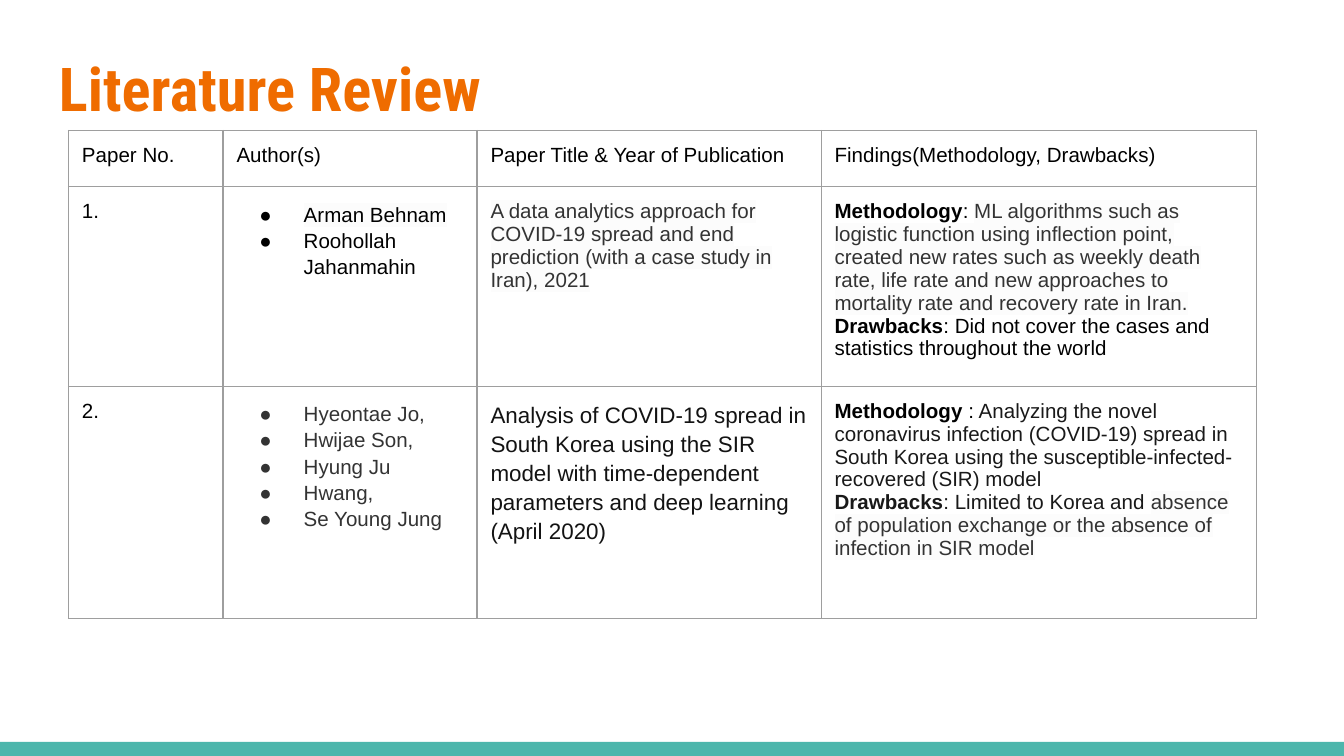
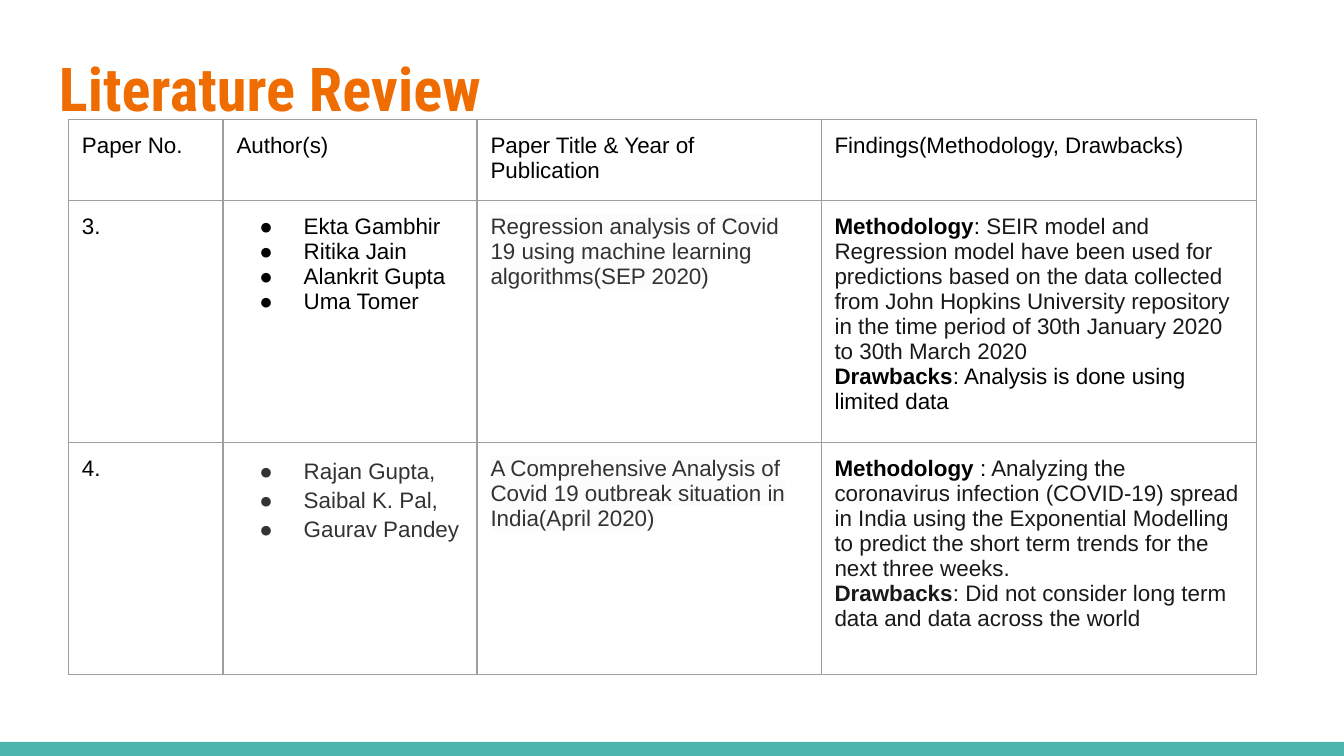
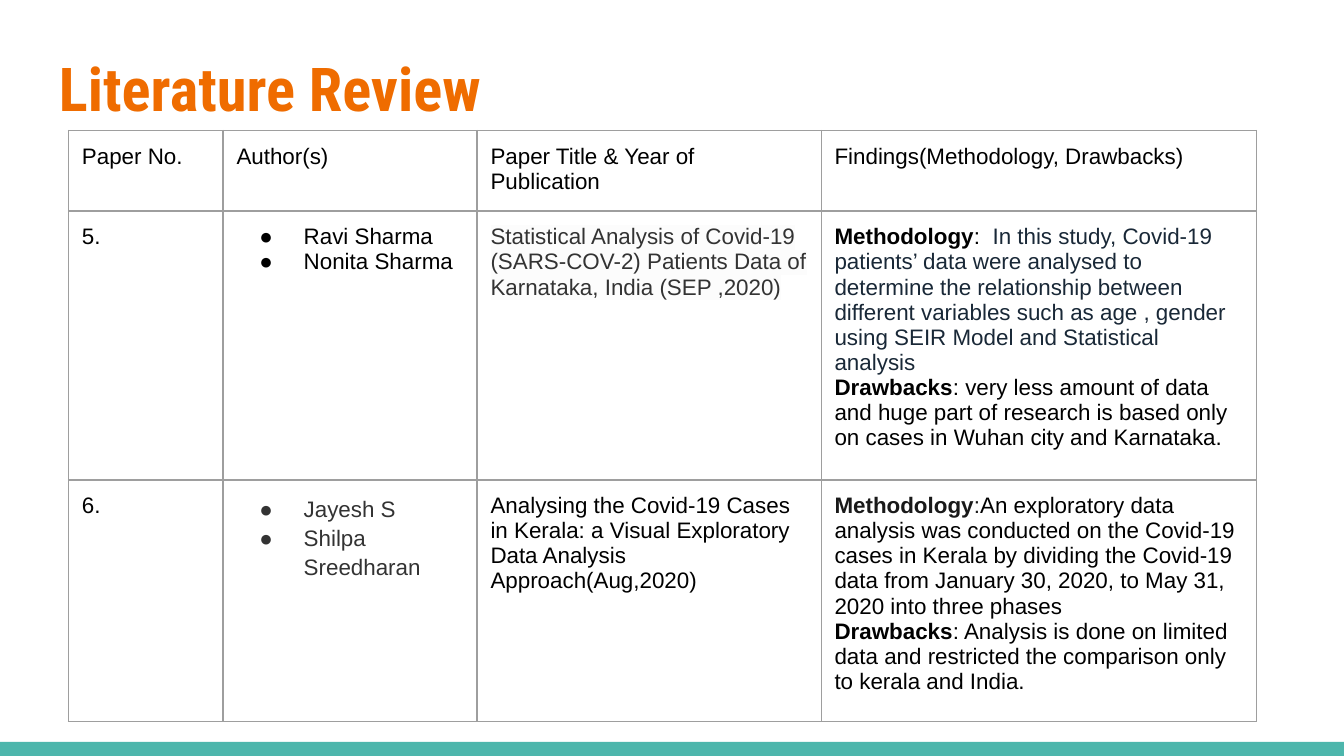
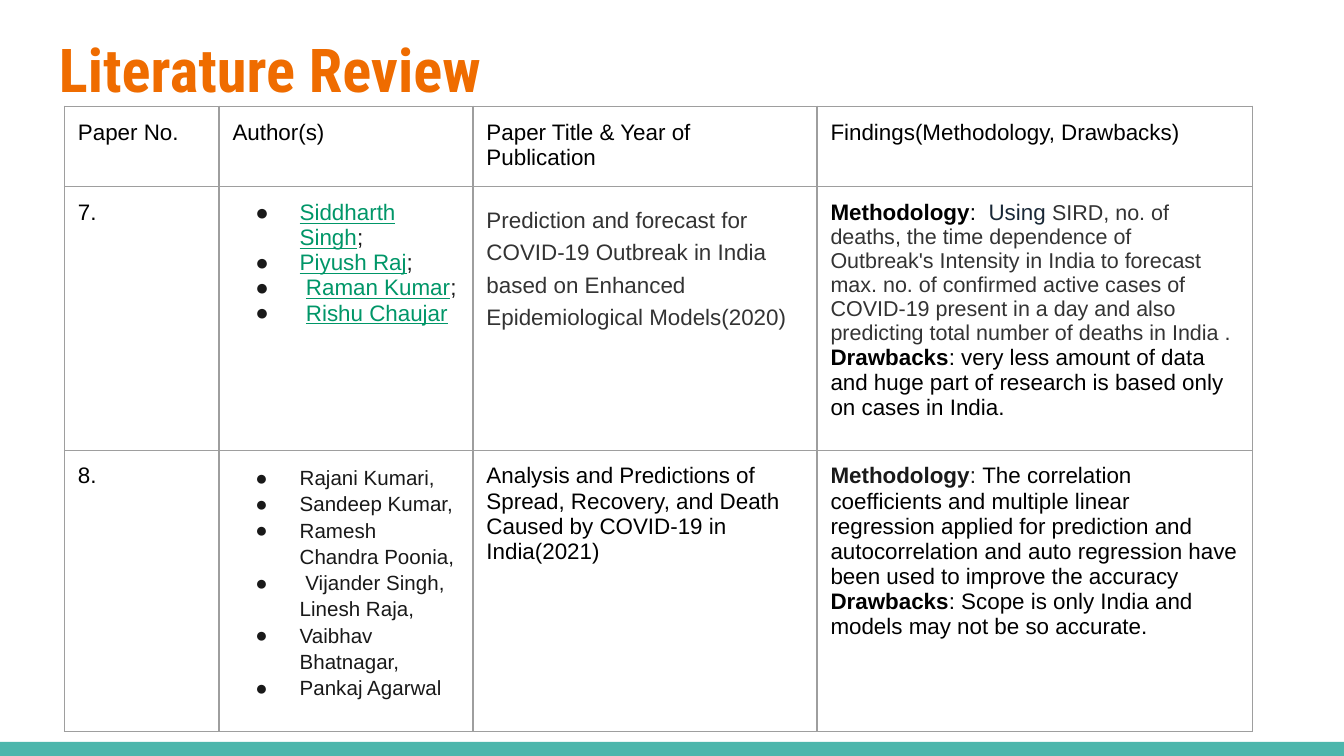
from dataclasses import dataclass, field

from lxml.etree import SubElement
from pptx import Presentation
from pptx.dml.color import RGBColor
from pptx.enum.shapes import MSO_SHAPE
from pptx.enum.text import MSO_ANCHOR
from pptx.oxml.ns import qn
from pptx.util import Inches, Pt

TITLE = "Literature Review"
HEADER = ["Paper No.", "Author(s)", "Paper Title & Year of Publication",
          "Findings(Methodology, Drawbacks)"]
COLUMNS = [1.15, 1.89, 2.56, 3.24]

SLIDES = [
    {"title_top": 0.28, "table_at": (0.51, 0.97), "rows": [0.42, 1.2, 1.73], "size": 11, "papers": [
        {"no": "1.",
         "authors": {"bullet": "ink", "line": 1.15, "paras": [
             [("Arman Behnam", "ink_tint")], [("Roohollah Jahanmahin", "ink")]]},
         "title": {"paras": [[("A data analytics approach for COVID-19 spread and end prediction "
                               "(with a case study in Iran), 2021", "grey_tint")]]},
         "findings": {"paras": [
             [("Methodology", "bold"), (": ", "ink"),
              ("ML algorithms such as logistic function using inflection point, created new rates "
               "such as weekly death rate, life rate and new approaches to mortality rate and "
               "recovery rate in Iran.", "grey_tint")],
             [("Drawbacks", "bold"),
              (": Did not cover the cases and statistics throughout the world", "ink")]]}},
        {"no": "2.",
         "authors": {"bullet": "grey", "line": 1.15, "paras": [
             [(name, "grey")] for name in
             ["Hyeontae Jo,", "Hwijae Son,", "Hyung Ju", "Hwang,", "Se Young Jung"]]},
         "title": {"line": 1.15, "after": 15, "paras": [
             [("Analysis of COVID-19 spread in South Korea using the SIR model with time-dependent "
               "parameters and deep learning (April 2020)", "black_12")]]},
         "findings": {"paras": [
             [("Methodology", "bold"), (" :", "ink"),
              (" Analyzing the novel coronavirus infection (COVID-19) spread in South Korea using "
               "the susceptible-infected-recovered (SIR) model", "soft")],
             [("Drawbacks", "soft_bold"), (": Limited to Korea and ", "soft"),
              ("absence of population exchange or the absence of infection in SIR model",
               "grey_tint")]]}},
    ]},
    {"title_top": 0.28, "table_at": (0.51, 0.89), "rows": [0.42, 1.2, 1.73], "size": 12, "papers": [
        {"no": "3.",
         "authors": {"bullet": "ink", "paras": [
             [(name, "ink")] for name in
             ["Ekta Gambhir", "Ritika Jain", "Alankrit Gupta", "Uma Tomer"]]},
         "title": {"paras": [[("Regression analysis of Covid 19 using machine learning "
                               "algorithms(SEP 2020)", "grey_tint")]]},
         "findings": {"paras": [
             [("Methodology", "bold"), (": ", "ink"),
              ("SEIR model and Regression model have been used for predictions based on the data "
               "collected from John Hopkins University repository in the time period of 30th "
               "January 2020 to 30th March 2020", "soft")],
             [("Drawbacks", "bold"), (": Analysis is done using limited data", "ink")]]}},
        {"no": "4.",
         "authors": {"bullet": "grey", "line": 1.15, "paras": [
             [(name, "grey")] for name in ["Rajan Gupta,", "Saibal K. Pal,", "Gaurav Pandey"]]},
         "title": {"paras": [[("A Comprehensive Analysis of Covid 19 outbreak situation in "
                               "India(April 2020)", "grey_tint")]]},
         "findings": {"paras": [
             [("Methodology ", "bold"), (":", "ink"),
              (" Analyzing the coronavirus infection (COVID-19) spread in India using the "
               "Exponential Modelling to predict the short term trends for the next three weeks.",
               "soft")],
             [("Drawbacks", "soft_bold"),
              (": Did not consider long term data and data across the world", "soft")]]}},
    ]},
    {"title_top": 0.28, "table_at": (0.51, 0.97), "rows": [0.42, 1.2, 1.73], "size": 12, "papers": [
        {"no": "5.",
         "authors": {"bullet": "ink", "paras": [
             [("Ravi Sharma", "ink")], [("Nonita Sharma", "ink")]]},
         "title": {"paras": [
             [("Statistical Analysis of Covid-19", "grey_tint")],
             [("(SARS-COV-2) Patients Data of Karnataka, India (SEP ,2020)", "grey_tint")]]},
         "findings": {"paras": [
             [("Methodology", "bold"), (": ", "ink"),
              (" In this study, Covid-19 patients’ data were analysed to determine the relationship "
               "between different variables such as age , gender using SEIR Model and Statistical "
               "analysis", "navy")],
             [("Drawbacks", "bold"),
              (": very less amount of data and huge part of research is based only on cases in "
               "Wuhan city and Karnataka.", "ink")]]}},
        {"no": "6.",
         "authors": {"bullet": "grey", "line": 1.15, "paras": [
             [("Jayesh S", "grey")], [("Shilpa Sreedharan", "grey")]]},
         "title": {"before": 36, "paras": [
             [("Analysing the Covid-19 Cases in Kerala: a Visual Exploratory Data Analysis "
               "Approach(Aug,2020)", "ink")]]},
         "findings": {"paras": [
             [("Methodology", "soft_bold"), (":", "soft"),
              ("An exploratory data analysis was conducted on the Covid-19 cases in Kerala by "
               "dividing the Covid-19 data from January 30, 2020, to May 31, 2020 into three "
               "phases", "ink")],
             [("Drawbacks", "bold"),
              (": Analysis is done on limited data and restricted the comparison only to kerala "
               "and India.", "ink")]]}},
    ]},
    {"title_top": 0.14, "table_at": (0.48, 0.79), "rows": [0.58, 1.89, 2.05], "size": 12, "papers": [
        {"no": "7.",
         "authors": {"bullet": "soft", "paras": [
             [("Siddharth Singh", "linked"), (";", "soft")],
             [("Piyush Raj", "linked"), (";", "soft")],
             [(" ", "soft"), ("Raman Kumar", "linked"), (";", "soft")],
             [(" ", "soft"), ("Rishu Chaujar", "linked")]]},
         "title": {"line": 1.3, "paras": [
             [("Prediction and forecast for COVID-19 Outbreak in India based on Enhanced "
               "Epidemiological Models(2020)", "grey")]]},
         "findings": {"paras": [
             [("Methodology", "bold"), (": ", "ink"), (" Using ", "navy"),
              ("SIRD, no. of deaths, the time dependence of Outbreak's Intensity in India to "
               "forecast max. no. of confirmed active cases of COVID-19 present in a day and also "
               "predicting total number of deaths in India .", "grey_11_5")],
             [("Drawbacks", "bold"),
              (": very less amount of data and huge part of research is based only on cases in "
               "India.", "ink")]]}},
        {"no": "8.",
         "authors": {"bullet": "soft", "line": 1.15, "end": 22, "paras": [
             [(name, "soft_11")] for name in
             ["Rajani Kumari,", "Sandeep Kumar,", "Ramesh Chandra Poonia,",
              " Vijander Singh, Linesh Raja,", "Vaibhav Bhatnagar,", "Pankaj Agarwal"]]},
         "title": {"before": 36, "after": 18, "paras": [
             [("Analysis and Predictions of Spread, Recovery, and Death Caused by COVID-19 in "
               "India(2021)", "ink")]]},
         "findings": {"paras": [
             [("Methodology", "soft_bold"), (": ", "soft"),
              ("The correlation coefficients and multiple linear regression applied for prediction "
               "and autocorrelation and auto regression have been used to improve the accuracy",
               "ink")],
             [("Drawbacks", "bold"),
              (": Scope is only India and models may not be so accurate.", "ink")]]}},
    ]},
]


@dataclass
class Theme:
    title_font: str = "Roboto Condensed"
    body_font: str = "Arial"
    title_size: float = 32.4
    border_width: float = 0.75
    inset: float = 0.1
    colors: dict = field(default_factory=lambda: {
        "band": "4DB6AC", "title": "EF6C00", "border": "9E9E9E", "tint": "FCFCFC",
        "ink": "000000", "black": "131313", "soft": "191919", "grey": "333333",
        "navy": "192837", "green": "009668"})
    styles: dict = field(default_factory=lambda: {
        "ink": {"color": "ink"},
        "ink_tint": {"color": "ink", "tint": True},
        "bold": {"color": "ink", "bold": True},
        "black_12": {"color": "black", "size": 12},
        "soft": {"color": "soft"},
        "soft_11": {"color": "soft", "size": 11},
        "soft_bold": {"color": "soft", "bold": True},
        "grey": {"color": "grey"},
        "grey_tint": {"color": "grey", "tint": True},
        "grey_11_5": {"color": "grey", "size": 11.5},
        "navy": {"color": "navy"},
        "linked": {"color": "green", "underline": True}})

    def rgb(self, name):
        return RGBColor.from_string(self.colors[name])


THEME = Theme()


def add_solid(parent, tag, color):
    SubElement(SubElement(parent, qn(tag)), qn("a:srgbClr"), val=THEME.colors[color])


def format_run(r, font, size, color, bold=False, underline=False, tint=False):
    r.font.name = font
    r.font.size = Pt(size)
    r.font.bold = bold
    r.font.underline = underline
    r.font.color.rgb = THEME.rgb(color)
    if tint:
        rPr = r.font._element
        add_solid(rPr, "a:highlight", "tint")
        rPr.find(qn("a:solidFill")).addnext(rPr.find(qn("a:highlight")))


def add_bullet(p, color):
    pPr = p._p.get_or_add_pPr()
    pPr.set("marL", str(Inches(0.5)))
    pPr.set("indent", str(Inches(-0.33)))
    add_solid(pPr, "a:buClr", color)
    SubElement(pPr, qn("a:buFont"), typeface=THEME.body_font)
    SubElement(pPr, qn("a:buChar"), char="●")


def set_insets(box):
    box.margin_left = box.margin_right = Inches(THEME.inset)
    box.margin_top = box.margin_bottom = Inches(THEME.inset)


def add_borders(cell):
    tcPr = cell._tc.get_or_add_tcPr()
    for side in ("a:lnL", "a:lnR", "a:lnT", "a:lnB"):
        ln = SubElement(tcPr, qn(side), w=str(Pt(THEME.border_width)))
        add_solid(ln, "a:solidFill", "border")


def fill_cell(cell, content, size):
    set_insets(cell)
    add_borders(cell)
    cell.fill.background()
    tf = cell.text_frame
    for i, runs in enumerate(content["paras"]):
        p = tf.add_paragraph() if i else tf.paragraphs[0]
        p.line_spacing = content.get("line", 1.0)
        p.space_before = Pt(content.get("before", 0))
        p.space_after = Pt(content.get("after", 0))
        if "bullet" in content:
            add_bullet(p, content["bullet"])
        for text, style in runs:
            r = p.add_run()
            r.text = text
            format_run(r, THEME.body_font, **{"size": size, **THEME.styles[style]})
    SubElement(p._p, qn("a:endParaRPr"), sz=str(content.get("end", size) * 100))


def plain(text):
    return {"paras": [[(text, "ink")]]}


def add_band(s):
    sp = s.shapes.add_shape(MSO_SHAPE.RECTANGLE, 0, Inches(5.52), Inches(10), Inches(0.11))
    sp.shadow.inherit = False
    sp.fill.solid()
    sp.fill.fore_color.rgb = THEME.rgb("band")
    sp.line.fill.background()


def add_title(s, top):
    sp = s.shapes.add_textbox(Inches(0.34), Inches(top), Inches(9.32), Inches(0.77))
    tf = sp.text_frame
    tf.word_wrap = True
    tf.vertical_anchor = MSO_ANCHOR.TOP
    set_insets(tf)
    tf.text = TITLE
    format_run(tf.paragraphs[0].runs[0], THEME.title_font, THEME.title_size, "title", bold=True)


def add_papers(s, data):
    left, top = data["table_at"]
    heights = data["rows"]
    table = s.shapes.add_table(len(heights), len(COLUMNS), Inches(left), Inches(top),
                               Inches(sum(COLUMNS)), Inches(sum(heights))).table
    table.first_row = table.horz_banding = False
    for column, width in zip(table.columns, COLUMNS):
        column.width = Inches(width)
    grid = [[plain(label) for label in HEADER]]
    for paper in data["papers"]:
        grid.append([plain(paper["no"]), paper["authors"], paper["title"], paper["findings"]])
    for row, height, contents in zip(table.rows, heights, grid):
        row.height = Inches(height)
        for cell, content in zip(row.cells, contents):
            fill_cell(cell, content, data["size"])


def main():
    prs = Presentation()
    prs.slide_width = Inches(10)
    prs.slide_height = prs.slide_width * 9 // 16
    for data in SLIDES:
        s = prs.slides.add_slide(prs.slide_layouts[6])
        add_band(s)
        add_title(s, data["title_top"])
        add_papers(s, data)
    prs.save("out.pptx")


if __name__ == "__main__":
    main()
